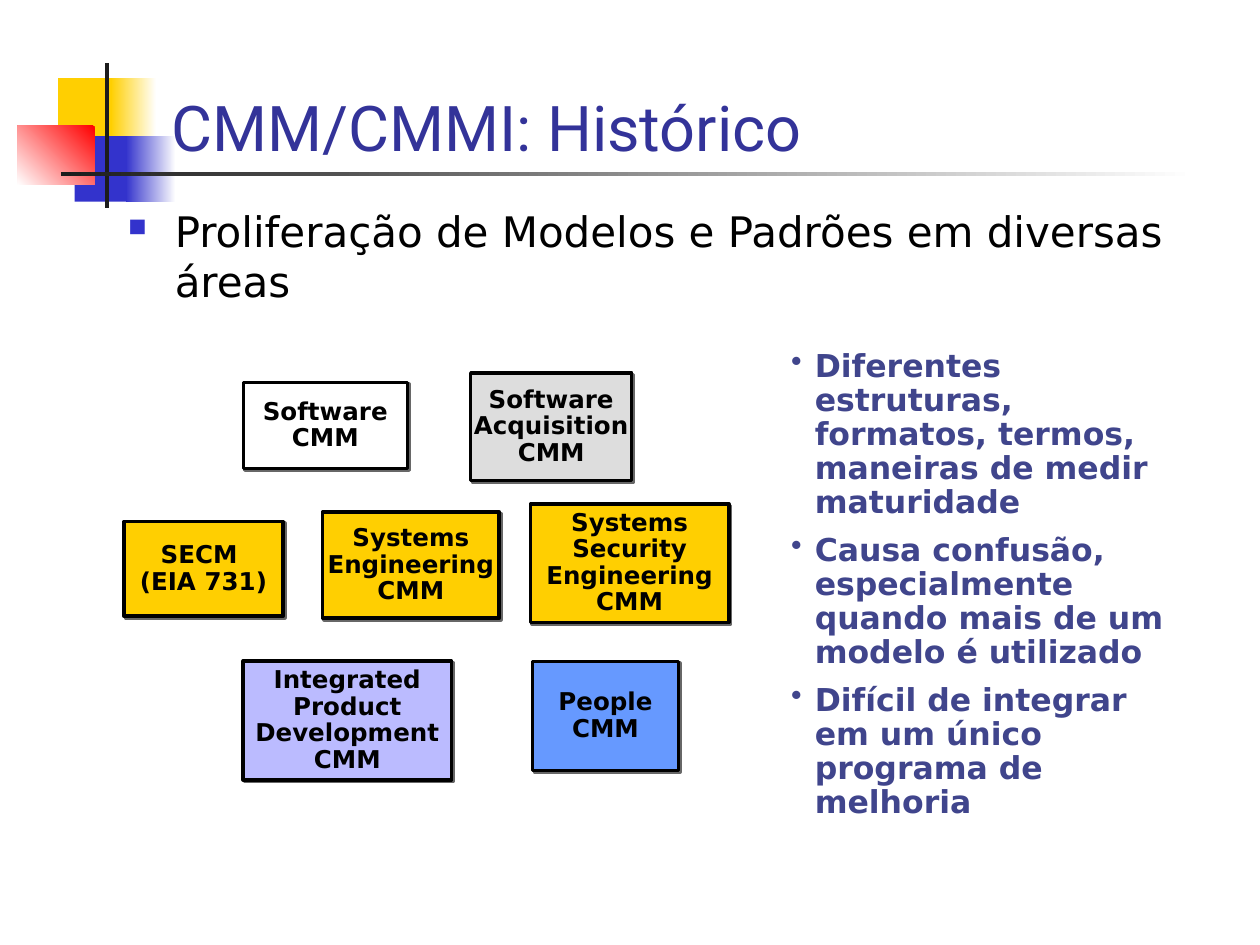
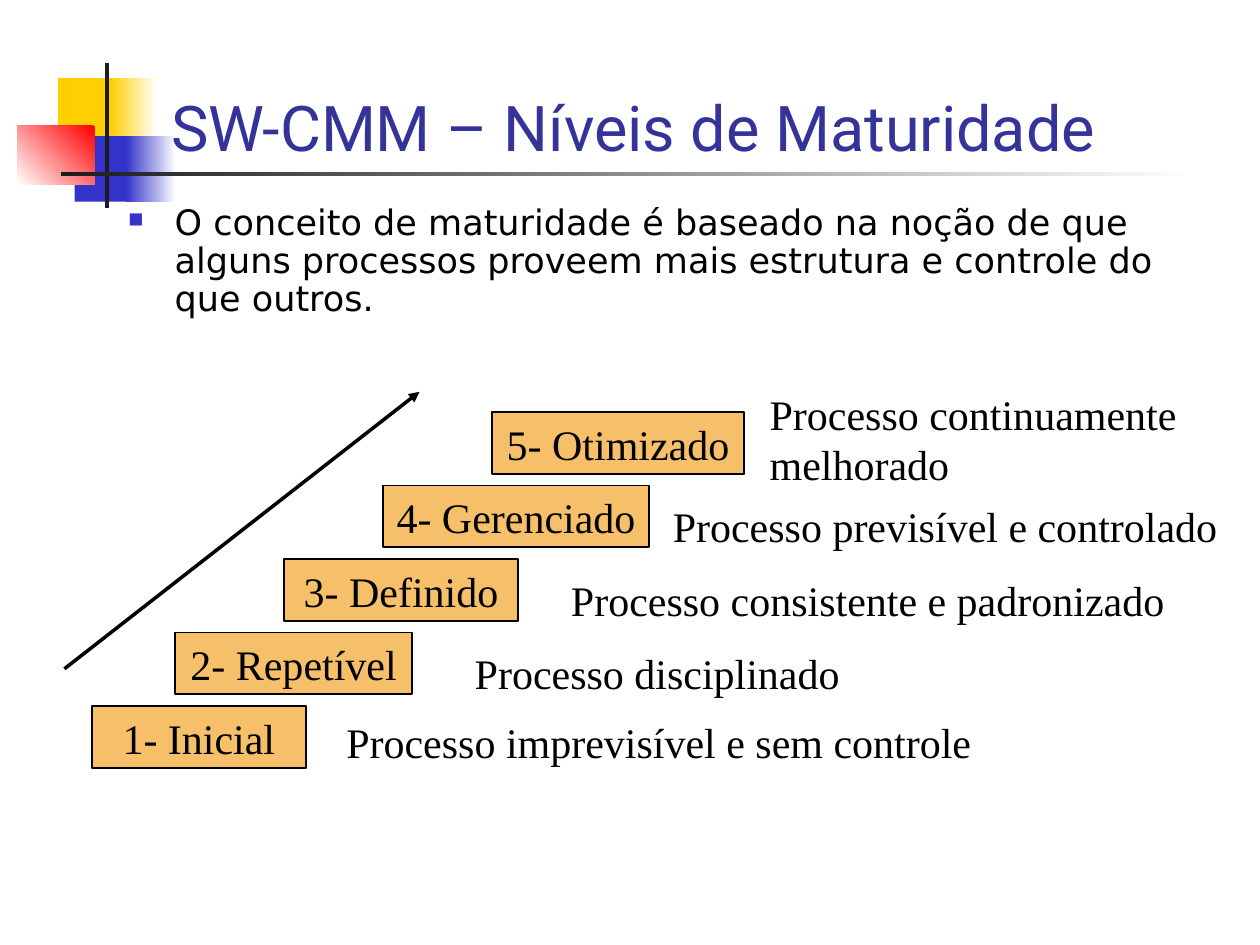
from lxml import etree
from pptx import Presentation
from pptx.dml.color import RGBColor
from pptx.enum import shapes, text
from pptx.oxml.ns import qn
from pptx.util import Pt

BLACK, WHITE, YELLOW, BLUE, RED = "000000", "FFFFFF", "FFCF01", "3333CC", "FF0000"
CHARCOAL, TITLE_BLUE, SLATE, ORANGE = "1C1C1C", "333399", "40458C", "F6BF69"
LEFT, CENTER = text.PP_ALIGN.LEFT, text.PP_ALIGN.CENTER
TOP, MIDDLE, BOTTOM = text.MSO_ANCHOR.TOP, text.MSO_ANCHOR.MIDDLE, text.MSO_ANCHOR.BOTTOM

TITLE = dict(
    frame=dict(vertical_anchor=BOTTOM, word_wrap=True),
    paragraph=dict(alignment=LEFT),
    font=dict(name="Roboto", size=Pt(36), bold=False),
    colour=TITLE_BLUE,
)
BODY = dict(
    frame=dict(vertical_anchor=TOP, word_wrap=True),
    paragraph=dict(alignment=LEFT, space_before=Pt(6)),
    font=dict(name="DejaVu Sans", size=Pt(24)),
    colour=BLACK,
    bullet=dict(mark="■", colour=BLUE, indent=26.6, percent=60),
)
SMALL_BODY = BODY | dict(
    paragraph=dict(alignment=LEFT, space_before=Pt(5), line_spacing=0.9),
    font=dict(name="DejaVu Sans", size=Pt(20)),
)
PROBLEM = dict(
    frame=dict(vertical_anchor=TOP, word_wrap=True),
    paragraph=dict(alignment=LEFT, line_spacing=0.9, space_after=Pt(7.9)),
    font=dict(name="DejaVu Sans", size=Pt(18), bold=True),
    colour=SLATE,
    bullet=dict(mark="•", colour=SLATE, indent=13.5, percent=100),
)
MODEL = dict(
    frame=dict(vertical_anchor=MIDDLE, word_wrap=False),
    paragraph=dict(alignment=CENTER, line_spacing=0.9),
    font=dict(name="DejaVu Sans", size=Pt(14), bold=True),
    colour=BLACK,
)
LEVEL = dict(
    frame=dict(vertical_anchor=TOP, word_wrap=False),
    paragraph=dict(alignment=CENTER),
    font=dict(name="Times New Roman", size=Pt(24)),
    colour=BLACK,
)
MEANING = LEVEL | dict(
    frame=dict(vertical_anchor=TOP, word_wrap=True),
    paragraph=dict(alignment=LEFT),
)


def rgb(colour):
    return RGBColor.from_string(colour)


def write_text(shape, words, style):
    frame = shape.text_frame
    frame.text = words
    frame.auto_size = text.MSO_AUTO_SIZE.NONE
    for name, value in style["frame"].items():
        setattr(frame, name, value)
    for paragraph in frame.paragraphs:
        for name, value in style["paragraph"].items():
            setattr(paragraph, name, value)
        for run in paragraph.runs:
            for name, value in style["font"].items():
                setattr(run.font, name, value)
            run.font.color.rgb = rgb(style["colour"])
        if "bullet" in style:
            bullet = style["bullet"]
            properties = paragraph._p.get_or_add_pPr()
            properties.set("marL", str(Pt(bullet["indent"])))
            properties.set("indent", str(-Pt(bullet["indent"])))
            colour = etree.SubElement(properties, qn("a:buClr"))
            etree.SubElement(colour, qn("a:srgbClr"), val=bullet["colour"])
            etree.SubElement(properties, qn("a:buSzPct"), val=str(bullet["percent"] * 1000))
            etree.SubElement(properties, qn("a:buChar"), char=bullet["mark"])


presentation = Presentation()
presentation.slide_width, presentation.slide_height = Pt(720), Pt(540)

decorations = [
    ((33.2, 44.7, 34.6, 37.4), [YELLOW], 0),
    ((63.3, 44.7, 26, 37.4), [WHITE, YELLOW], 180),
    ((42.7, 77.8, 33, 37.4), [BLUE], 0),
    ((71.8, 77.8, 28.8, 37.4), [WHITE, BLUE], 180),
    ((9.9, 72, 44.2, 33.5), [RED, WHITE], 225),
    ((60, 36, 2.3, 82.8), [CHARCOAL], 0),
    ((34.9, 98.2, 648, 2.2), [WHITE, CHARCOAL], 180),
]
pages = [
    ("CMM/CMMI: Histórico",
     "Proliferação de Modelos e Padrões em diversas áreas",
     BODY, (66.2, 113.8, 639.4, 372.2)),
    ("SW-CMM – Níveis de Maturidade",
     "O conceito de maturidade é baseado na noção de que alguns processos "
     "proveem mais estrutura e controle do que outros.",
     SMALL_BODY, (66.2, 113.8, 628.6, 82.1)),
]
slides = []
for heading, statement, style, place in pages:
    slide = presentation.slides.add_slide(presentation.slide_layouts[5])
    slides.append(slide)
    for band_place, colours, angle in decorations:
        band = slide.shapes.add_shape(shapes.MSO_SHAPE.RECTANGLE, *map(Pt, band_place))
        band.shadow.inherit = False
        band.line.fill.background()
        if len(colours) == 1:
            band.fill.solid()
            band.fill.fore_color.rgb = rgb(colours[0])
        else:
            band.fill.gradient()
            band.fill.gradient_angle = angle
            for stop, colour in zip(band.fill.gradient_stops, colours):
                stop.color.rgb = rgb(colour)
    title = slide.shapes.title
    title.left, title.top, title.width, title.height = map(Pt, (90.7, 15.1, 613.4, 82.1))
    write_text(title, heading, TITLE)
    title._element.getparent().append(title._element)
    body = slide.shapes.add_textbox(*map(Pt, place))
    write_text(body, statement, style)

history, maturity = slides

models = [
    ("Software\nCMM", WHITE, (139, 218.6, 93.8, 49.2)),
    ("Systems\nSecurity\nEngineering\nCMM", YELLOW, (303.1, 288, 113.4, 67.8)),
    ("Systems\nEngineering\nCMM", YELLOW, (184.3, 292.5, 101, 60.8)),
    ("People\nCMM", "6699FF", (304.4, 378, 83.2, 62.3)),
    ("SECM \n(EIA 731)", YELLOW, (70.8, 298, 91, 54.2)),
    ("Integrated\nProduct\nDevelopment\nCMM", "BBBBFF", (139, 377.7, 119, 68)),
    ("Software\nAcquisition\nCMM", "DDDDDD", (269, 213, 92, 61.6)),
]
for name, colour, place in models:
    model = history.shapes.add_shape(shapes.MSO_SHAPE.RECTANGLE, *map(Pt, place))
    model.fill.solid()
    model.fill.fore_color.rgb = rgb(colour)
    model.line.color.rgb = rgb(BLACK)
    model.line.width = Pt(2)
    model.shadow.inherit = False
    effects = model._element.spPr.find(qn("a:effectLst"))
    shadow = etree.SubElement(
        effects, qn("a:outerShdw"), dist=str(Pt(1.4)), dir="2700000", algn="ctr", rotWithShape="0")
    etree.SubElement(shadow, qn("a:srgbClr"), val="676767")
    write_text(model, name, MODEL)

problems = history.shapes.add_textbox(Pt(445), Pt(196.6), Pt(234), Pt(275.8))
write_text(
    problems,
    "Diferentes estruturas, formatos, termos, maneiras de medir maturidade\n"
    "Causa confusão, especialmente quando mais de um modelo é utilizado\n"
    "Difícil de integrar em um único programa de melhoria",
    PROBLEM,
)

levels = [
    ("1- Inicial", 52.5, 122.4, "Processo imprevisível e sem controle", (190.8, 406, 420, 35.3)),
    ("2- Repetível", 100, 135.6, "Processo disciplinado", (264.2, 366.5, 226, 35.3)),
    ("3- Definido", 162.2, 134, "Processo consistente e padronizado", (319.2, 324.5, 357, 35.3)),
    ("4- Gerenciado", 218.9, 152, "Processo previsível e controlado", (377.4, 282.5, 331.2, 35.3)),
    ("5- Otimizado", 281.2, 144, "Processo continuamente\nmelhorado", (432.7, 218.2, 253, 64.8)),
]
for index, (name, left, width, meaning, place) in enumerate(levels):
    step = maturity.shapes.add_shape(
        shapes.MSO_SHAPE.RECTANGLE, Pt(left), Pt(403.4 - 42 * index), Pt(width), Pt(35.3))
    step.shadow.inherit = False
    step.fill.solid()
    step.fill.fore_color.rgb = rgb(ORANGE)
    step.line.color.rgb = rgb(BLACK)
    step.line.width = Pt(1)
    write_text(step, name, LEVEL)
    write_text(maturity.shapes.add_textbox(*map(Pt, place)), meaning, MEANING)

arrow = maturity.shapes.add_connector(
    shapes.MSO_CONNECTOR.STRAIGHT, Pt(36.8), Pt(382.2), Pt(239.7), Pt(223.9))
arrow.line.color.rgb = rgb(BLACK)
arrow.line.width = Pt(2)
arrow_properties = arrow._element.spPr
etree.SubElement(arrow_properties.find(qn("a:ln")), qn("a:tailEnd"), type="triangle")
etree.SubElement(arrow_properties, qn("a:effectLst"))

presentation.save("out.pptx")
